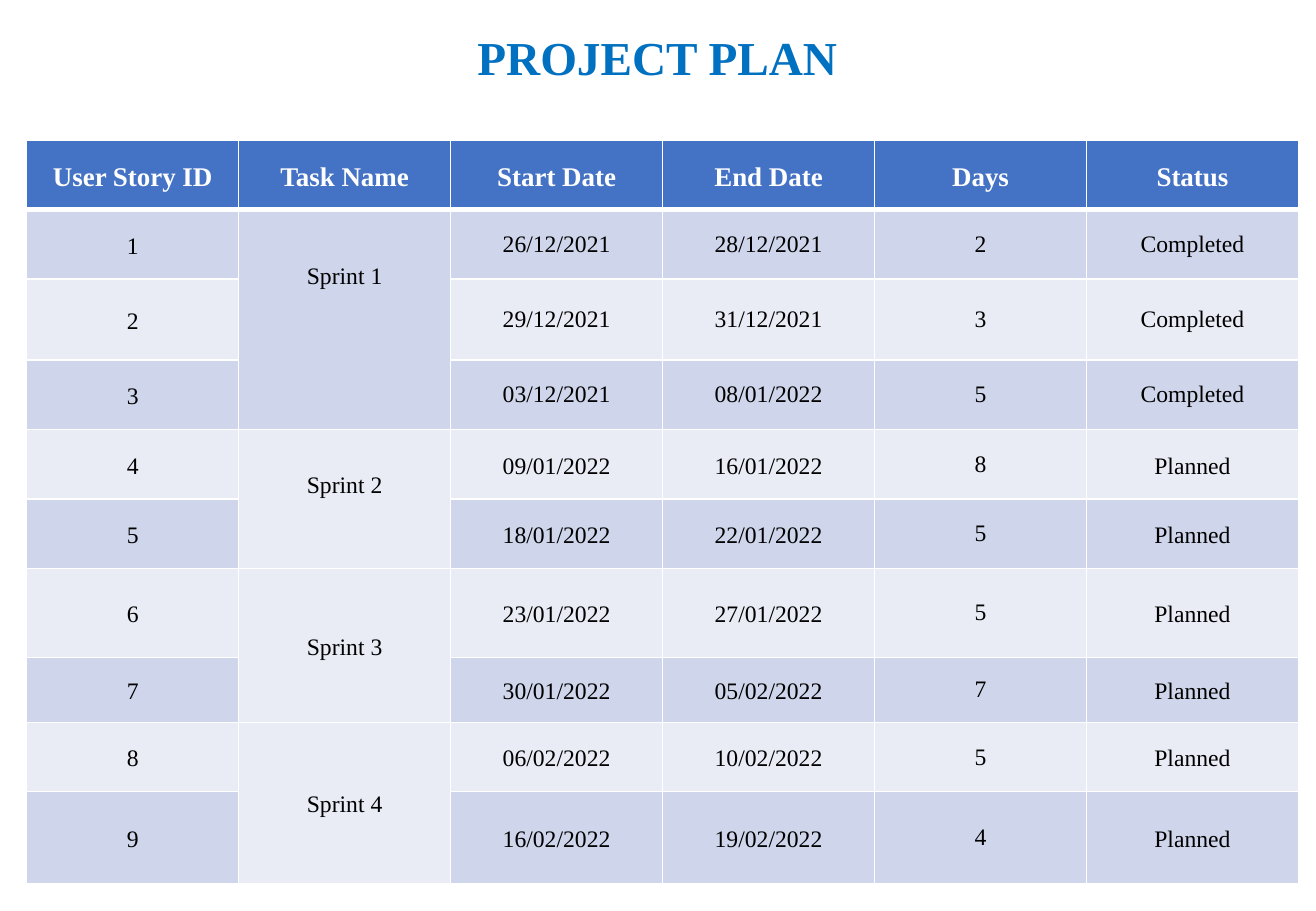
from lxml import etree
from pptx import Presentation
from pptx.dml.color import RGBColor
from pptx.enum.text import MSO_ANCHOR as Anchor, PP_ALIGN as Align
from pptx.oxml.ns import qn
from pptx.util import Pt

# Content
TITLE = "PROJECT PLAN"
HEADER = ("User Story ID", "Task Name", "Start Date", "End Date", "Days", "Status")
# Sprint name, space kept free under the name, tasks
SPRINTS = [
    ("Sprint 1", 53, [
        ("26/12/2021", "28/12/2021", "2", "Completed"),
        ("29/12/2021", "31/12/2021", "3", "Completed"),
        ("03/12/2021", "08/01/2022", "5", "Completed"),
    ]),
    ("Sprint 2", 18, [
        ("09/01/2022", "16/01/2022", "8", "Planned"),
        ("18/01/2022", "22/01/2022", "5", "Planned"),
    ]),
    ("Sprint 3", 0, [
        ("23/01/2022", "27/01/2022", "5", "Planned"),
        ("30/01/2022", "05/02/2022", "7", "Planned"),
    ]),
    ("Sprint 4", 0, [
        ("06/02/2022", "10/02/2022", "5", "Planned"),
        ("16/02/2022", "19/02/2022", "4", "Planned"),
    ]),
]

# Layout and formats
ROW_HEIGHTS = (41.2, 41.2, 48, 41.2, 41.2, 41.2, 52.7, 38.5, 41.2, 54.5)
COLUMN_WIDTH = 125.64
TABLE_LEFT, TABLE_TOP = 15.84, 83
TASK_COLUMN, DAYS_COLUMN = 1, 4
BANDS = ("E9EBF5", "CFD5EA")
FONT = "Times New Roman"
TITLE_FONT = {"name": FONT, "size": Pt(28), "bold": True}
HEADER_FONT = {"name": FONT, "size": Pt(16), "bold": True}
BODY_FONT = {"name": FONT, "size": Pt(14), "bold": False}
TIGHT = {"margin_left": Pt(5), "margin_right": Pt(5), "margin_top": 0, "margin_bottom": 0}
ROOMY = {"margin_left": Pt(8), "margin_right": Pt(8),
         "margin_top": Pt(3.6), "margin_bottom": Pt(3.6)}


def color(value):
    return RGBColor.from_string(value)


def apply(target, values):
    for name, value in values.items():
        setattr(target, name, value)


def write(frame, text, font, font_color, spacing):
    paragraph = frame.paragraphs[0]
    apply(paragraph, {"alignment": Align.CENTER, "line_spacing": spacing})
    run = paragraph.add_run()
    run.text = text
    apply(run.font, font)
    run.font.color.rgb = color(font_color)


def add_borders(cell, bottom):
    properties = cell._tc.get_or_add_tcPr()
    for side, width in (("L", 1), ("R", 1), ("T", 1), ("B", bottom)):
        line = etree.SubElement(properties, qn(f"a:ln{side}"), w=str(Pt(width)))
        fill = etree.SubElement(line, qn("a:solidFill"))
        etree.SubElement(fill, qn("a:srgbClr"), val="FFFFFF")


def fill_cell(cell, text, row, column):
    header = row == 0
    early_date = 1 <= row <= 3 and column > TASK_COLUMN
    plain = not header and (early_date or column == DAYS_COLUMN)
    add_borders(cell, 3 if header else 1)
    cell.fill.solid()
    cell.fill.fore_color.rgb = color("4472C4" if header else BANDS[row % 2])
    apply(cell, ROOMY if plain and row <= 6 else TIGHT)
    cell.vertical_anchor = Anchor.MIDDLE
    if text:
        write(cell.text_frame, text, HEADER_FONT if header else BODY_FONT,
              "FFFFFF" if header else "000000", 1.0 if plain else 1.15)


def main():
    presentation = Presentation()
    apply(presentation, {"slide_width": Pt(780), "slide_height": Pt(540)})
    slide = presentation.slides.add_slide(presentation.slide_layouts[6])

    # Title
    title = slide.shapes.add_textbox(Pt(53.3), 0, Pt(672.5), Pt(71.3))
    apply(title.text_frame, {"word_wrap": True, "vertical_anchor": Anchor.MIDDLE})
    write(title.text_frame, TITLE, TITLE_FONT, "0070C0", 0.9)

    # Table grid
    table = slide.shapes.add_table(
        len(ROW_HEIGHTS), len(HEADER), Pt(TABLE_LEFT), Pt(TABLE_TOP),
        Pt(COLUMN_WIDTH * len(HEADER)), Pt(sum(ROW_HEIGHTS))).table
    for column in table.columns:
        column.width = Pt(COLUMN_WIDTH)
    for row, height in zip(table.rows, ROW_HEIGHTS):
        row.height = Pt(height)

    # Rows: the header, then the tasks numbered through all sprints
    rows = [HEADER]
    for sprint, space_below, tasks in SPRINTS:
        first = len(rows)
        for index, task in enumerate(tasks):
            rows.append((str(len(rows)), "" if index else sprint, *task))
        last = len(rows) - 1
        table.cell(first, TASK_COLUMN).merge(table.cell(last, TASK_COLUMN))
    for row, texts in enumerate(rows):
        for column, text in enumerate(texts):
            fill_cell(table.cell(row, column), text, row, column)

    # Sprint names raised inside their merged cells
    first = 1
    for sprint, space_below, tasks in SPRINTS:
        table.cell(first, TASK_COLUMN).margin_bottom = Pt(space_below)
        first += len(tasks)

    presentation.save("out.pptx")


if __name__ == "__main__":
    main()
